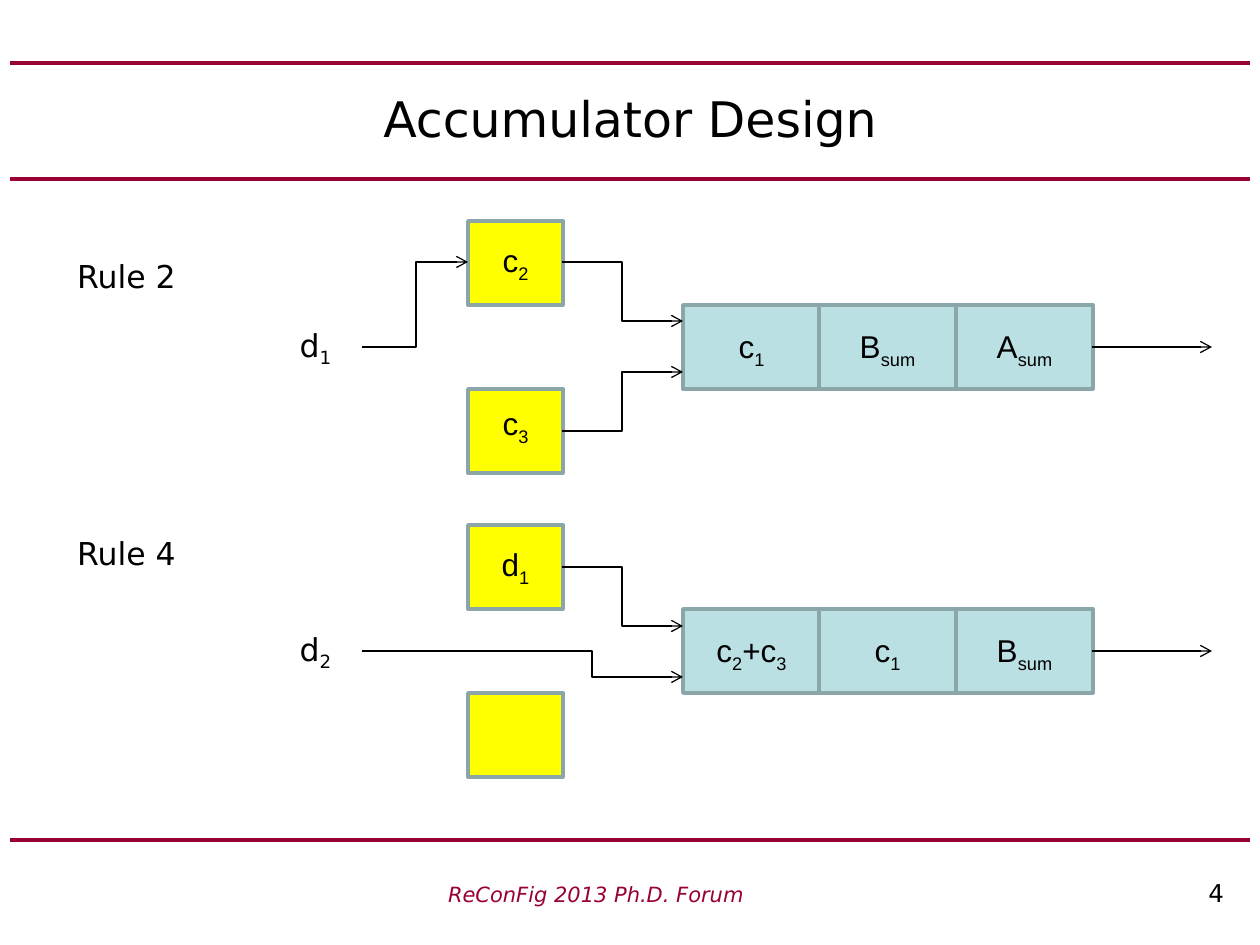
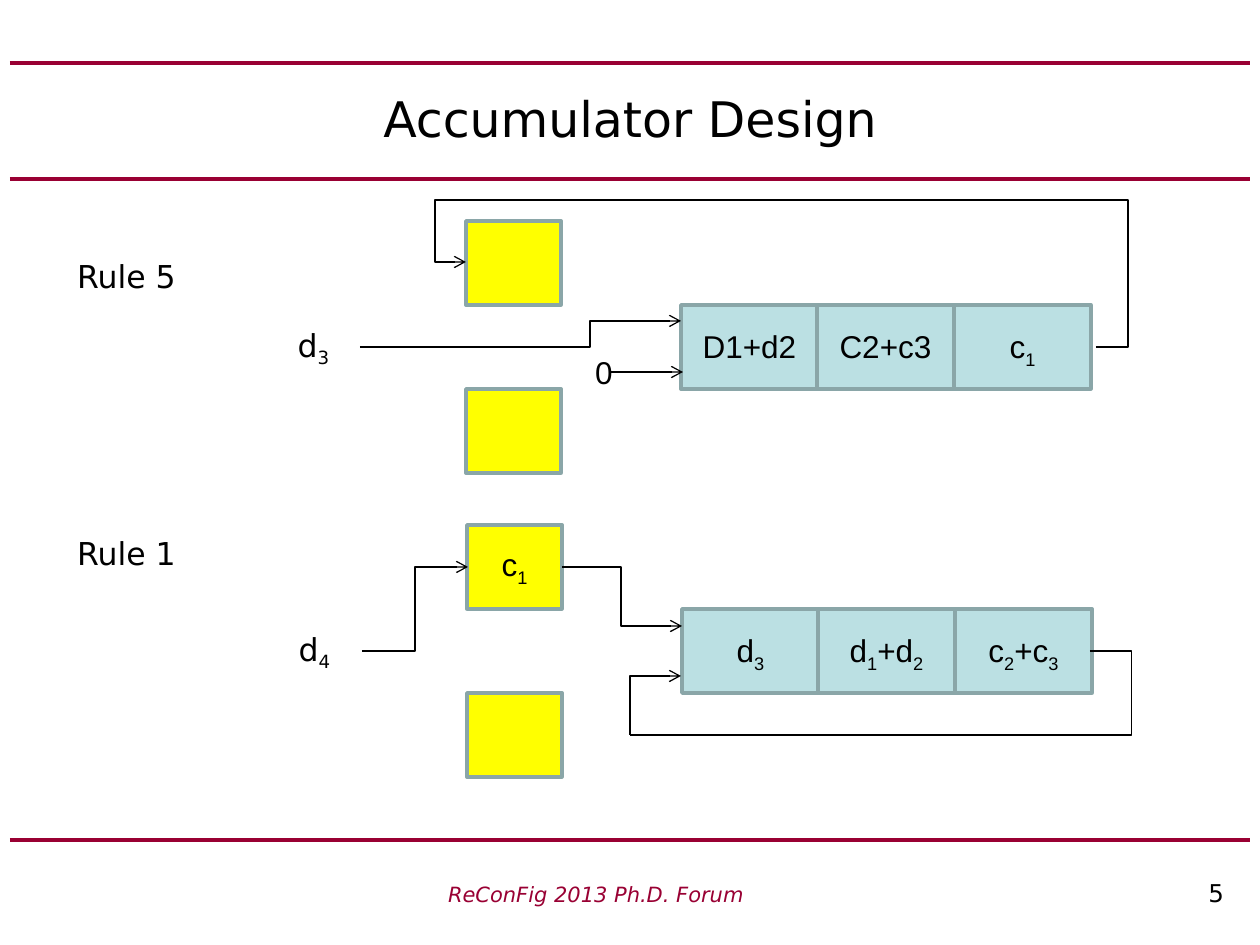
from dataclasses import dataclass

from lxml import etree
from pptx import Presentation
from pptx.dml.color import RGBColor
from pptx.enum.shapes import MSO_CONNECTOR, MSO_SHAPE
from pptx.enum.text import MSO_ANCHOR, MSO_AUTO_SIZE, PP_ALIGN
from pptx.oxml.ns import qn
from pptx.util import Emu, Pt

STRAIGHT, ELBOW = MSO_CONNECTOR.STRAIGHT, MSO_CONNECTOR.ELBOW
RECT = MSO_SHAPE.RECTANGLE
TOP, MIDDLE = MSO_ANCHOR.TOP, MSO_ANCHOR.MIDDLE
LEFT, CENTER = PP_ALIGN.LEFT, PP_ALIGN.CENTER
NO_FIT = MSO_AUTO_SIZE.NONE

COLORS = {
    "rule": "990033",
    "text": "000000",
    "cell": "BBE0E3",
    "buffer": "FFFF00",
    "border": "8AA6A8",
}
SANS, ARIAL = "DejaVu Sans", "Arial"
EMU_PER_PX = 914400 / 126

BOX_H = 84
BUFFER_X, BUFFER_W = 468, 95
CELL_X, CELL_W = 683, 137
LABEL_W, LABEL_H = 147, 50
INPUT_X = 268


@dataclass(frozen=True)
class Wire:
    start: tuple[int, int]
    end: tuple[int, int]
    bends: tuple[int, ...] = ()
    arrow: bool = True


@dataclass(frozen=True)
class Stage:
    name: str
    name_y: int
    y: int
    dx: int
    source: str
    upper: str
    lower: str
    cells: tuple[str, str, str]
    wires: tuple[Wire, ...]
    constant: str = ""


def px(n: float) -> Emu:
    return Emu(round(n * EMU_PER_PX))


def rgb(name: str) -> RGBColor:
    return RGBColor.from_string(COLORS[name])


def style_run(r, *, size: int = 18, font: str = SANS, color: str = "text",
              italic: bool = False) -> None:
    r.font.size, r.font.name, r.font.italic = Pt(size), font, italic
    r.font.color.rgb = rgb(color)


def add_text(s, text: str, x: int, y: int, w: int, h: int, *,
             font: str = SANS, anchor=MIDDLE):
    """Odd parts between bars are subscripts."""
    sp = s.shapes.add_textbox(px(x), px(y), px(w), px(h))
    tf = sp.text_frame
    tf.word_wrap, tf.vertical_anchor = True, anchor
    p = tf.paragraphs[0]
    p.alignment = CENTER
    for part in text.split("|"):
        r = p.add_run()
        r.text = part
        style_run(r, font=font)
    for props in list(sp.element.iter(qn("a:rPr")))[1::2]:
        props.set("baseline", "-25000")


def add_box(s, x: int, y: int, w: int, fill: str) -> None:
    sp = s.shapes.add_shape(RECT, px(x), px(y), px(w), px(BOX_H))
    sp.shadow.inherit = False
    sp.fill.solid()
    sp.fill.fore_color.rgb = rgb(fill)
    sp.line.color.rgb = rgb("border")
    sp.line.width = Pt(2)


def add_wire(s, wire: Wire, *, color: str = "text", width: float = 0.75):
    kind = ELBOW if wire.bends else STRAIGHT
    c = s.shapes.add_connector(kind, *map(px, wire.start + wire.end))
    c.line.color.rgb = rgb(color)
    c.line.width = Pt(width)
    props = c.element.find(qn("p:spPr"))
    if wire.arrow:
        etree.SubElement(props.find(qn("a:ln")), qn("a:tailEnd"), type="arrow")
    etree.SubElement(props, qn("a:effectLst"))
    if wire.bends:
        geom = props.find(qn("a:prstGeom"))
        geom.set("prst", f"bentConnector{len(wire.bends) + 2}")
        for i, bend in enumerate(wire.bends):
            a, b = wire.start[i % 2], wire.end[i % 2]
            etree.SubElement(geom.find(qn("a:avLst")), qn("a:gd"), name=f"adj{i + 1}",
                             fmla=f"val {round((bend - a) / (b - a) * 100000)}")
    return c


def add_bands(s, layout) -> None:
    for y in (63, 179, 840):
        c = add_wire(s, Wire((10, y), (1250, y), arrow=False), color="rule", width=2.25)
        layout.shapes.element.append(c.element)


def add_title(s, text: str) -> None:
    sp = s.shapes.title
    sp.left, sp.top, sp.width, sp.height = map(px, (63, 63, 1134, 110))
    tf = sp.text_frame
    tf.auto_size, tf.vertical_anchor = NO_FIT, MIDDLE
    p = tf.paragraphs[0]
    p.alignment = CENTER
    r = p.add_run()
    r.text = text
    style_run(r, size=28)


def add_footer(s, number: int) -> None:
    sp = s.shapes.add_textbox(px(388), px(872), px(850), px(42))
    tf = sp.text_frame
    tf.word_wrap, tf.margin_left = True, px(60)
    p = tf.paragraphs[0]
    p.alignment = LEFT
    r = p.add_run()
    r.text = "ReConFig 2013 Ph.D. Forum\t"
    style_run(r, size=12, color="rule", italic=True)
    r = p.add_run()
    r.text = str(number)
    style_run(r, size=14)
    tabs = etree.SubElement(sp.element.find(".//" + qn("a:pPr")), qn("a:tabLst"))
    etree.SubElement(tabs, qn("a:tab"), pos=str(px(776)), algn="r")


def add_stage(s, stage: Stage) -> None:
    y = stage.y
    buffer_x = BUFFER_X + stage.dx
    for text, top, gap in ((stage.upper, y - BOX_H, 17), (stage.lower, y + BOX_H, 12)):
        add_box(s, buffer_x, top, BUFFER_W, "buffer")
        if text:
            add_text(s, text, buffer_x - 26, top + gap, LABEL_W, LABEL_H, font=ARIAL)
    for i, text in enumerate(stage.cells):
        x = CELL_X + stage.dx + i * 273 // 2
        add_box(s, x, y, CELL_W, "cell")
        add_text(s, text, x - 5, y + 16, LABEL_W, LABEL_H, font=ARIAL, anchor=TOP)
    add_text(s, stage.source, INPUT_X + stage.dx, y, BUFFER_W, BOX_H)
    add_text(s, stage.name, 42, stage.name_y, 169, 68)
    for wire in stage.wires:
        add_wire(s, wire)
    if stage.constant:
        add_text(s, stage.constant, 556, y + 42, 96, LABEL_H, font=ARIAL, anchor=TOP)


SLIDES = {
    4: (
        Stage("Rule 2", 242, 305, 0, "d|1", "c|2", "c|3", ("c|1", "B|sum", "A|sum"), (
            Wire((1092, 347), (1212, 347)),
            Wire((562, 262), (683, 321), (622,)),
            Wire((562, 431), (683, 372), (622,)),
            Wire((362, 347), (468, 262), (416,)),
        )),
        Stage("Rule 4", 519, 609, 0, "d|2", "d|1", "", ("c|2|+c|3", "c|1", "B|sum"), (
            Wire((1092, 651), (1212, 651)),
            Wire((562, 567), (683, 626), (622,)),
            Wire((362, 651), (683, 677), (592,)),
        )),
    ),
    5: (
        Stage("Rule 5", 242, 305, -2, "d|3", "", "", ("D1+d2", "C2+c3", "c|1"), (
            Wire((360, 347), (681, 321), (590,)),
            Wire((1096, 347), (466, 262), (1128, 200, 435)),
            Wire((610, 372), (683, 372)),
        ), constant="0"),
        Stage("Rule 1", 519, 609, -1, "d|4", "c|1", "", ("d|3", "d|1|+d|2", "c|2|+c|3"), (
            Wire((562, 567), (682, 626), (621,)),
            Wire((362, 651), (468, 567), (415,)),
            Wire((1090, 651), (630, 735), (1132,), arrow=False),
            Wire((630, 735), (681, 676), (630,)),
        )),
    ),
}


def main() -> None:
    prs = Presentation()
    prs.slide_width, prs.slide_height = px(1260), px(945)
    layout = prs.slide_layouts[5]
    for number, stages in SLIDES.items():
        s = prs.slides.add_slide(layout)
        if len(prs.slides) == 1:
            add_bands(s, layout)
        add_title(s, "Accumulator Design")
        for stage in stages:
            add_stage(s, stage)
        add_footer(s, number)
    prs.save("out.pptx")


main()
